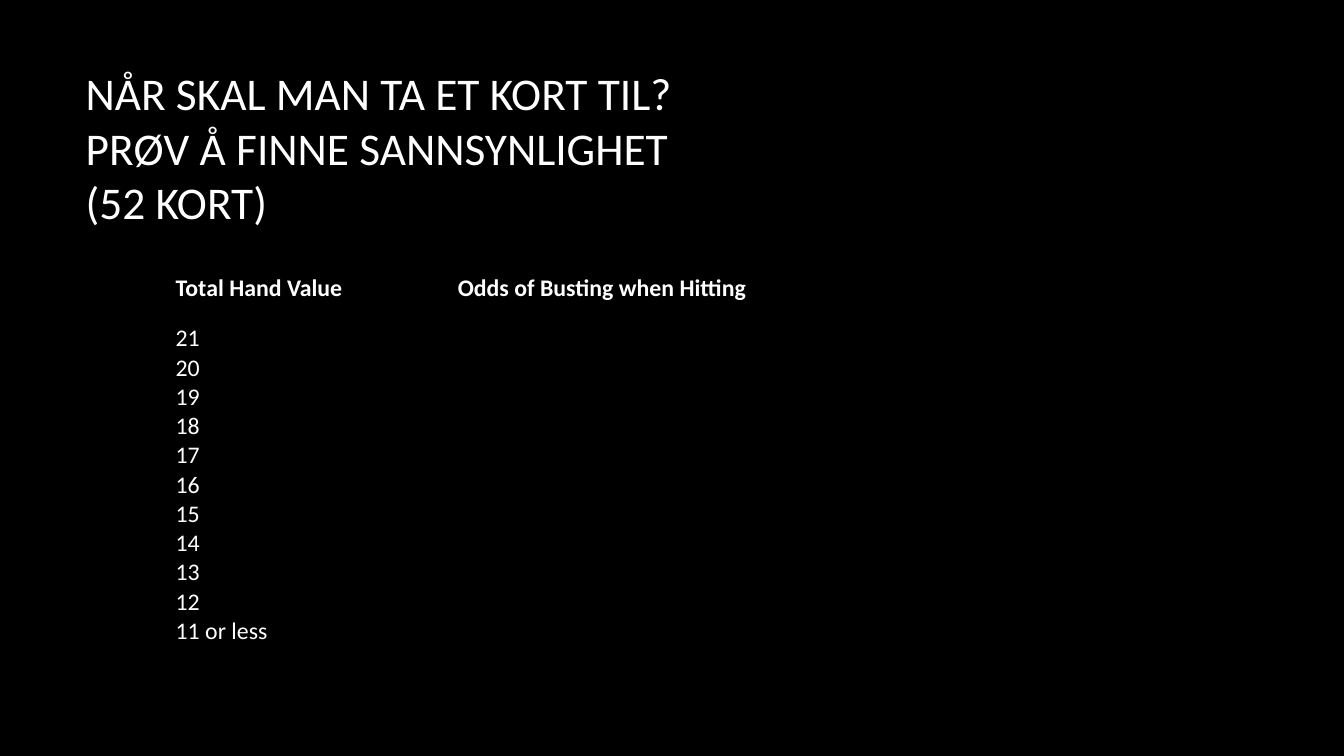
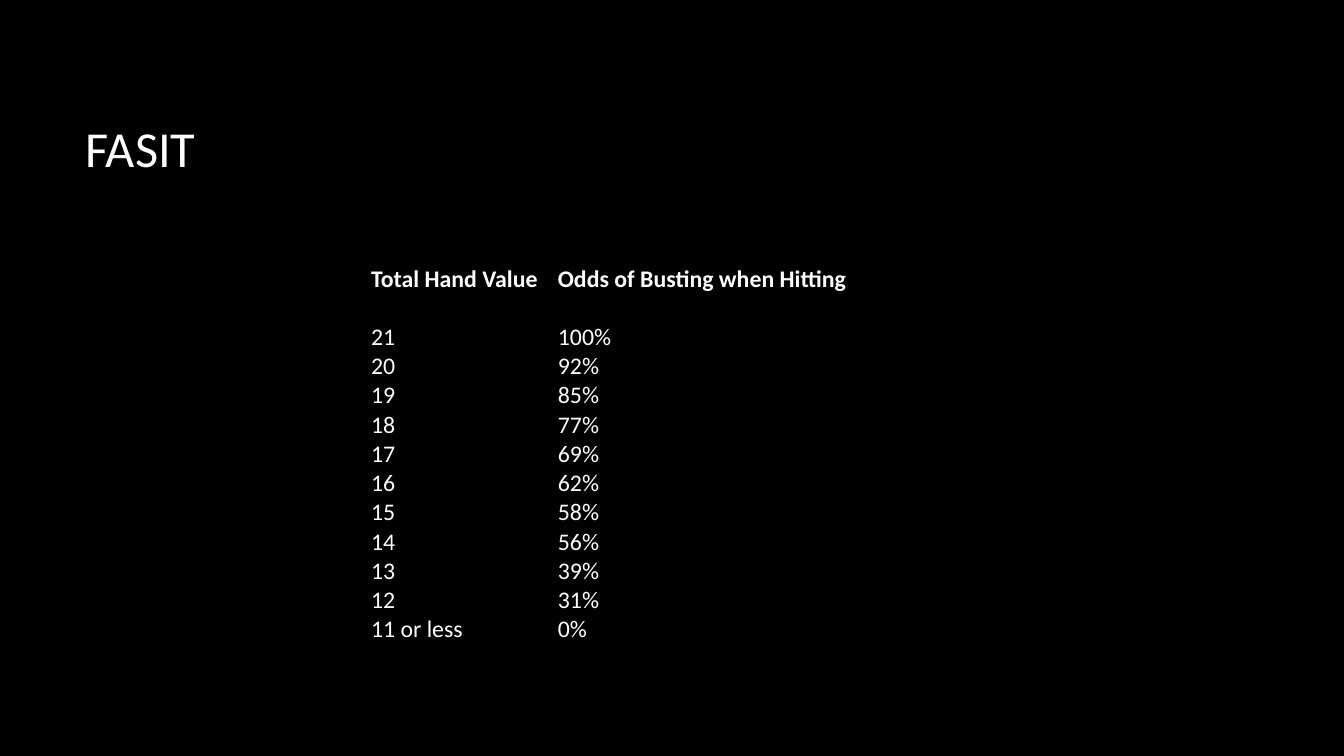
import pptx
import pptx.dml.color
import pptx.enum.text
import pptx.util

Pt = pptx.util.Pt
COLORS = {"background": "000000", "text": "FFFFFF"}
FONT = "Calibri"
TABLE_SIZE = 17
ROW_HEIGHT = 20.9
NO_STYLE_NO_GRID = "{2D5ABB26-0587-4C30-8999-92F81FD0307C}"
MIDDLE = pptx.enum.text.MSO_ANCHOR.MIDDLE

HEADERS = ("Total Hand Value", "Odds of Busting when Hitting")
HANDS = [str(total) for total in range(21, 11, -1)] + ["11 or less"]
ODDS = ["100%", "92%", "85%", "77%", "69%", "62%", "58%", "56%", "39%", "31%", "0%"]


def rgb(name):
    return pptx.dml.color.RGBColor.from_string(COLORS[name])


def style_text(tf, size, bold=False):
    for p in tf.paragraphs:
        p.alignment = pptx.enum.text.PP_ALIGN.LEFT
        p.font.name = FONT
        p.font.size = Pt(size)
        p.font.bold = bold
        p.font.color.rgb = rgb("text")


def add_slide(prs, title, title_size):
    """Add a black slide; a vertical tab in the title breaks the line."""
    s = prs.slides.add_slide(prs.slide_layouts[5])
    s.background.fill.solid()
    s.background.fill.fore_color.rgb = rgb("background")
    sp = s.shapes.title
    sp.left, sp.top, sp.width, sp.height = Pt(54), Pt(48), Pt(798), Pt(114.5)
    tf = sp.text_frame
    tf.text = title
    tf.word_wrap = True
    tf.auto_size = pptx.enum.text.MSO_AUTO_SIZE.NONE
    tf.vertical_anchor = MIDDLE
    style_text(tf, title_size)
    return s


def fill_cell(cell, text, bold):
    cell.fill.background()
    cell.margin_left = cell.margin_right = cell.margin_top = cell.margin_bottom = 0
    cell.vertical_anchor = MIDDLE
    cell.text = text
    style_text(cell.text_frame, TABLE_SIZE, bold)


def add_odds_table(s, left, top, col_widths, header_height, odds):
    rows = [HEADERS, *zip(HANDS, odds)]
    heights = [header_height] + [ROW_HEIGHT] * len(HANDS)
    frame = s.shapes.add_table(len(rows), len(HEADERS), Pt(left), Pt(top),
                               Pt(sum(col_widths)), Pt(sum(heights)))
    table = frame.table
    table.horz_banding = False
    table.first_row = False
    table._tbl.tblPr.find(pptx.oxml.ns.qn("a:tableStyleId")).text = NO_STYLE_NO_GRID
    for column, width in zip(table.columns, col_widths):
        column.width = Pt(width)
    for i, (row, height, texts) in enumerate(zip(table.rows, heights, rows)):
        row.height = Pt(height)
        for cell, text in zip(row.cells, texts):
            fill_cell(cell, text, bold=i == 0)


def main():
    prs = pptx.Presentation()
    prs.slide_width, prs.slide_height = Pt(960), Pt(540)

    question = add_slide(
        prs, "NÅR SKAL MAN TA ET KORT TIL?\vPRØV Å FINNE SANNSYNLIGHET\v(52 KORT)", 32.4)
    add_odds_table(question, 125.5, 180.5, (201.5, 340), 51, [""] * len(HANDS))

    answer = add_slide(prs, "FASIT", 36)
    add_odds_table(answer, 265, 168.5, (133.5, 225), 62, ODDS)

    prs.save("out.pptx")


if __name__ == "__main__":
    main()
